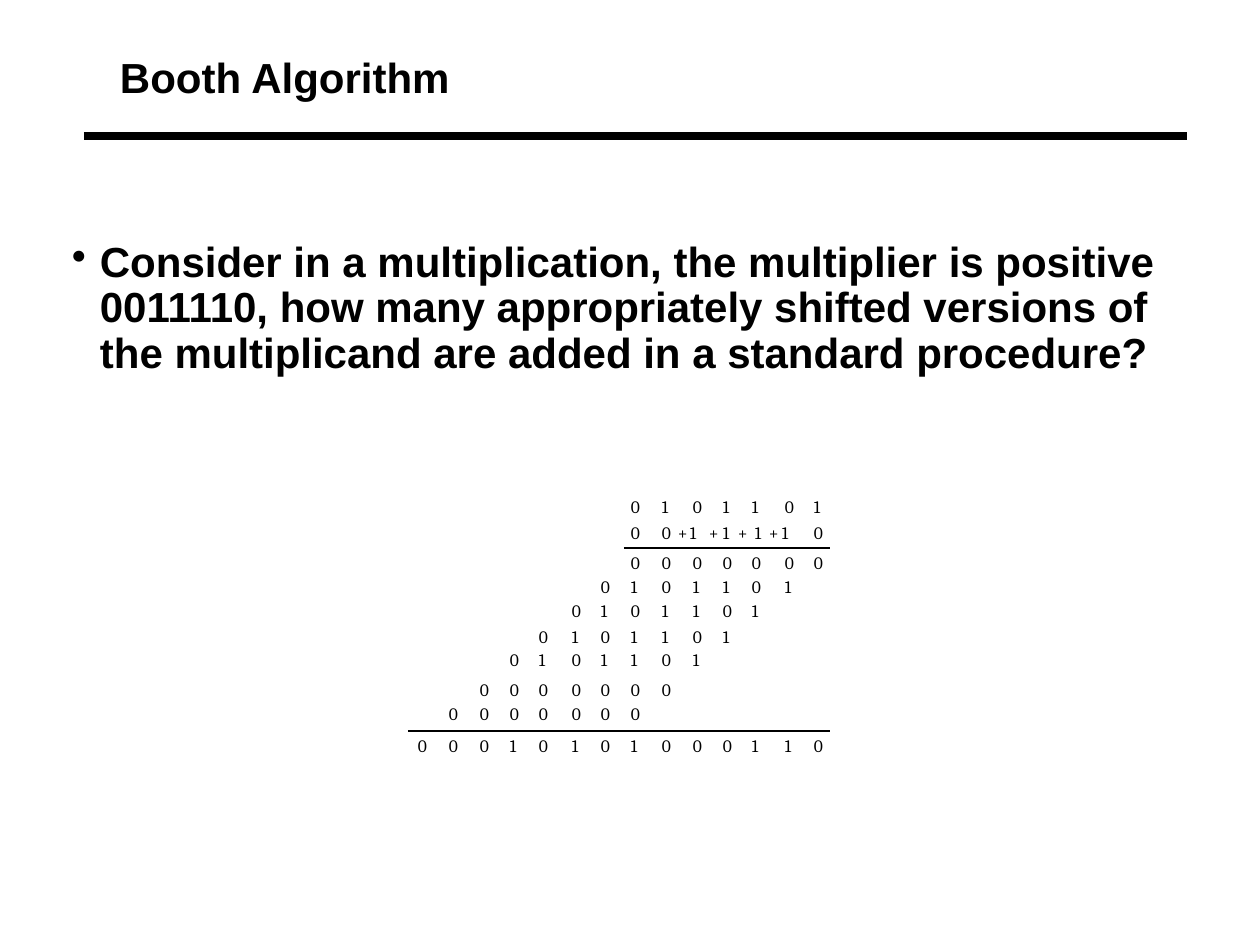
"""Build the Booth Algorithm slide with its shifted-addition example."""
from lxml import etree
from pptx import Presentation
from pptx import util as u
from pptx.dml.color import RGBColor
from pptx.enum import shapes, text
from pptx.oxml.ns import qn

PX = u.Inches(1) // 126
BLACK = RGBColor(0, 0, 0)

deck = Presentation()
deck.slide_width, deck.slide_height = 1260 * PX, 945 * PX
slide = deck.slides.add_slide(deck.slide_layouts[6])


def write(words, left, top, width=10, height=21, *, size=10, font="Cambria",
          bold=False, spacing=None, inset=(0, 0), wrap=False, bullet=None):
    frame = slide.shapes.add_textbox(left * PX, top * PX, width * PX, height * PX).text_frame
    frame.margin_left = frame.margin_right = inset[0] * PX
    frame.margin_top = frame.margin_bottom = inset[1] * PX
    frame.word_wrap = wrap
    frame.auto_size = text.MSO_AUTO_SIZE.NONE if wrap else text.MSO_AUTO_SIZE.SHAPE_TO_FIT_TEXT
    paragraph = frame.paragraphs[0]
    if bullet:
        properties = paragraph._p.get_or_add_pPr()
        properties.set("marL", str(28 * PX))
        properties.set("indent", str(-28 * PX))
        etree.SubElement(properties, qn("a:buChar"), char=bullet)
    if spacing:
        paragraph.line_spacing = spacing
    run = paragraph.add_run()
    run.text = words
    run.font.size, run.font.name, run.font.bold = u.Pt(size), font, bold
    run.font.color.rgb = BLACK


def rule(left, right, y, weight):
    line = slide.shapes.add_connector(shapes.MSO_CONNECTOR.STRAIGHT,
                                      left * PX, y * PX, right * PX, y * PX)
    line.line.color.rgb = BLACK
    line.line.width = u.Pt(weight)
    etree.SubElement(line._element.spPr, qn("a:effectLst"))


rule(84, 1187, 136, 4.5)
heading = dict(size=24, font="Arial", bold=True, inset=(9, 4), wrap=True)
write("Booth Algorithm", 111, 54, 602, 52, spacing=0.87, **heading)
write("Consider in a multiplication, the multiplier is positive 0011110, "
      "how many appropriately shifted versions of the multiplicand are added "
      "in a standard procedure?",
      63, 237, 1134, 246, spacing=0.9, bullet="•", **heading)

columns = [418, 449, 480, 510, 539, 572, 601, 631, 662, 693, 723, 752, 785, 814]
multiplier_top = 522
rows = [
    (496, 7, "0101101"),
    (552, 7, "0000000"),
    (576, 6, "0101101"),
    (600, 5, "0101101"),
    (626, 4, "0101101"),
    (649, 3, "0101101"),
    (679, 2, "0000000"),
    (703, 1, "0000000"),
    (735, 0, "00010101000110"),
]
for top, first_column, digits in rows:
    for left, digit in zip(columns[first_column:], digits):
        write(digit, left, top)

for column in (7, 8, 13):
    write("0", columns[column], multiplier_top)
for plus_left, one_left in ((678, 690), (709, 723), (738, 755), (769, 782)):
    write("+", plus_left, multiplier_top)
    write("1", one_left, multiplier_top)

rule(624, 830, 548, 1.13)
rule(408, 830, 731, 1.13)

deck.save("out.pptx")
